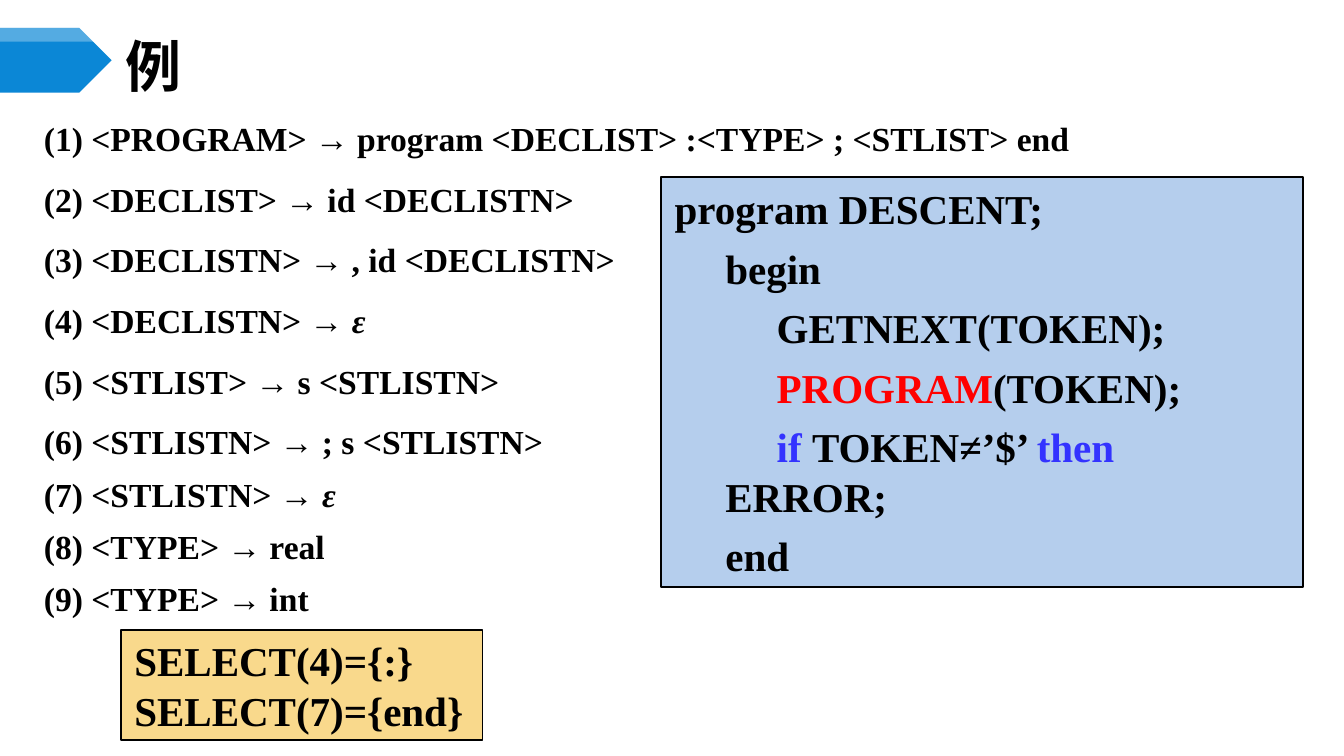
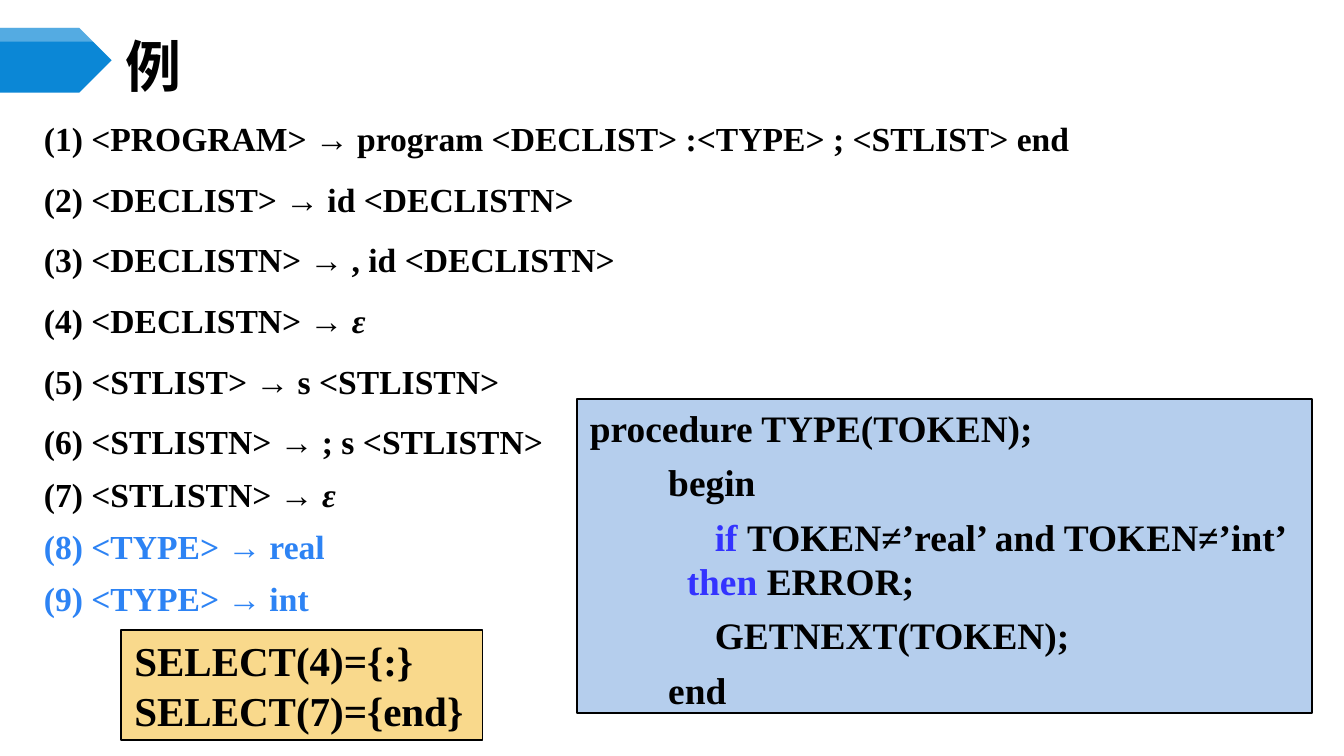
from lxml.etree import SubElement
from pptx import Presentation
from pptx.dml.color import RGBColor
from pptx.enum.shapes import MSO_SHAPE as Shape
from pptx.enum.text import MSO_ANCHOR as Anchor, MSO_AUTO_SIZE as AutoSize, PP_ALIGN as Align
from pptx.oxml.ns import qn
from pptx.util import Cm, Pt

COLORS = {
    "black": "000000", "white": "FFFFFF", "band": "0B87D6", "select": "F9D98C",
    "code": "B5CEED", "call": "FF0000", "keyword": "3333FF", "active": "2D83F4",
}
SERIF, SANS = "Times New Roman", "Noto Sans CJK SC"
TITLE = "例"
PRODUCTIONS = [
    ("<PROGRAM>", "program <DECLIST> :<TYPE> ; <STLIST> end"),
    ("<DECLIST>", "id <DECLISTN>"),
    ("<DECLISTN>", ", id <DECLISTN>"),
    ("<DECLISTN>", "ε"),
    ("<STLIST>", "s <STLISTN>"),
    ("<STLISTN>", "; s <STLISTN>"),
    ("<STLISTN>", "ε"),
    ("<TYPE>", "real"),
    ("<TYPE>", "int"),
]
SPACED_PRODUCTIONS = range(2, 7)
SELECT_SETS = ["SELECT(4)={:}", "SELECT(7)={end}"]
BAND = [(0, 0.53), (1.5, 0.53), (2.11, 1.14), (1.5, 1.75), (0, 1.75)]
BAND_LIGHT = [(0, 0.53), (1.98, 0.53), (2.11, 0.66), (1.98, 0.79), (0, 0.79)]

# Each code line: left margin, first-line indent, spans of (text, color)
SLIDES = [
    {
        "title_width": 22.02, "active": [],
        "box": (12.5, 3.35, 12.12, 7.75), "size": 22, "gap": 5.5,
        "code": [
            (0, 0, [("program DESCENT;", "black")]),
            (0.96, 0, [("begin", "black")]),
            (1.93, 0, [("GETNEXT(TOKEN);", "black")]),
            (1.93, 0, [("PROGRAM", "call"), ("(TOKEN);", "black")]),
            (0.96, 0.97, [("if ", "keyword"), ("TOKEN≠’$’ ", "black"),
                          ("then ", "keyword"), ("ERROR;", "black")]),
            (0.96, 0, [("end", "black")]),
        ],
    },
    {
        "title_width": 11, "active": [8, 9],
        "box": (10.9, 7.54, 13.89, 5.94), "size": 20, "gap": 5,
        "code": [
            (0, 0, [("procedure TYPE(TOKEN);", "black")]),
            (1.48, 0, [("begin", "black")]),
            (1.83, 0.53, [("if ", "keyword"), ("TOKEN≠’real’ and TOKEN≠’int’ ", "black"),
                          ("then", "keyword"), (" ERROR;", "black")]),
            (2.36, 0, [("GETNEXT(TOKEN);", "black")]),
            (1.48, 0, [("end", "black")]),
        ],
    },
]


def rgb(name):
    return RGBColor.from_string(COLORS[name])


def style(span, size, color="black", face=SERIF, italic=False):
    font = span.font
    font.size, font.bold, font.italic, font.name = Pt(size), True, italic, face
    font.color.rgb = rgb(color)
    SubElement(span._r.get_or_add_rPr(), qn("a:ea")).set("typeface", face)


def add_span(para, text, size, color="black", italic=False):
    span = para.add_run()
    span.text = text
    style(span, size, color, italic=italic)


def next_para(frame, number, gap=0):
    if number == 1:
        para = frame.paragraphs[0]
    else:
        para = frame.add_paragraph()
        para.space_before = Pt(gap)
    para.alignment = Align.LEFT
    return para


def indent(para, left, first):
    properties = para._p.get_or_add_pPr()
    properties.set("marL", str(Cm(left)))
    properties.set("indent", str(Cm(first)))


def add_band(page, points, color, opacity=100):
    corners = [(Cm(x), Cm(y)) for x, y in points]
    builder = page.shapes.build_freeform(*corners[0])
    builder.add_line_segments(corners[1:], close=True)
    band = builder.convert_to_shape()
    band.shadow.inherit = False
    band.line.fill.background()
    band.fill.solid()
    band.fill.fore_color.rgb = rgb(color)
    if opacity < 100:
        tone = band.fill._xPr.find(qn("a:solidFill")).find(qn("a:srgbClr"))
        SubElement(tone, qn("a:alpha")).set("val", str(opacity * 1000))


def add_title(page, width):
    title = page.shapes.title
    title.left, title.top, title.width, title.height = Cm(2.11), Cm(0.74), Cm(width), Cm(0.99)
    frame = title.text_frame
    frame.text = TITLE
    frame.auto_size = AutoSize.NONE
    frame.vertical_anchor = Anchor.MIDDLE
    frame.paragraphs[0].alignment = Align.LEFT
    style(frame.paragraphs[0].runs[0], 30, face=SANS)


def add_panel(page, place, color, anchor, wrap):
    panel = page.shapes.add_shape(Shape.RECTANGLE, *map(Cm, place))
    panel.shadow.inherit = False
    panel.fill.solid()
    panel.fill.fore_color.rgb = rgb(color)
    panel.line.color.rgb = rgb("black")
    panel.line.width = Pt(1)
    frame = panel.text_frame
    frame.vertical_anchor = anchor
    frame.word_wrap = wrap
    return frame


def add_select_sets(page):
    frame = add_panel(page, (2.29, 11.91, 6.83, 2.08), "select", Anchor.MIDDLE, False)
    for number, text in enumerate(SELECT_SETS, 1):
        add_span(next_para(frame, number), text, 22)


def add_grammar(page, active):
    box = page.shapes.add_textbox(Cm(0.58), Cm(1.88), Cm(24.21), Cm(9.93))
    frame = box.text_frame
    frame.word_wrap = True
    for number, (head, body) in enumerate(PRODUCTIONS, 1):
        para = next_para(frame, number, 4.5 if number in SPACED_PRODUCTIONS else 0)
        para.line_spacing = Pt(28)
        indent(para, 0.95, -0.95)
        color = "active" if number in active else "black"
        add_span(para, f"({number}) {head} → ", 18, color)
        add_span(para, body, 18, color, italic=body == "ε")


def add_code(page, content):
    frame = add_panel(page, content["box"], "code", Anchor.TOP, True)
    frame.margin_right = Cm(0.4)
    for number, (left, first, spans) in enumerate(content["code"], 1):
        para = next_para(frame, number, content["gap"])
        indent(para, left, first)
        for text, color in spans:
            add_span(para, text, content["size"], color)


def main():
    deck = Presentation()
    deck.slide_width, deck.slide_height = Cm(25.4), Cm(14.29)
    for content in SLIDES:
        page = deck.slides.add_slide(deck.slide_layouts[5])
        add_band(page, BAND, "band")
        add_band(page, BAND_LIGHT, "white", opacity=30)
        add_select_sets(page)
        add_title(page, content["title_width"])
        add_grammar(page, content["active"])
        add_code(page, content)
    deck.save("out.pptx")


if __name__ == "__main__":
    main()
